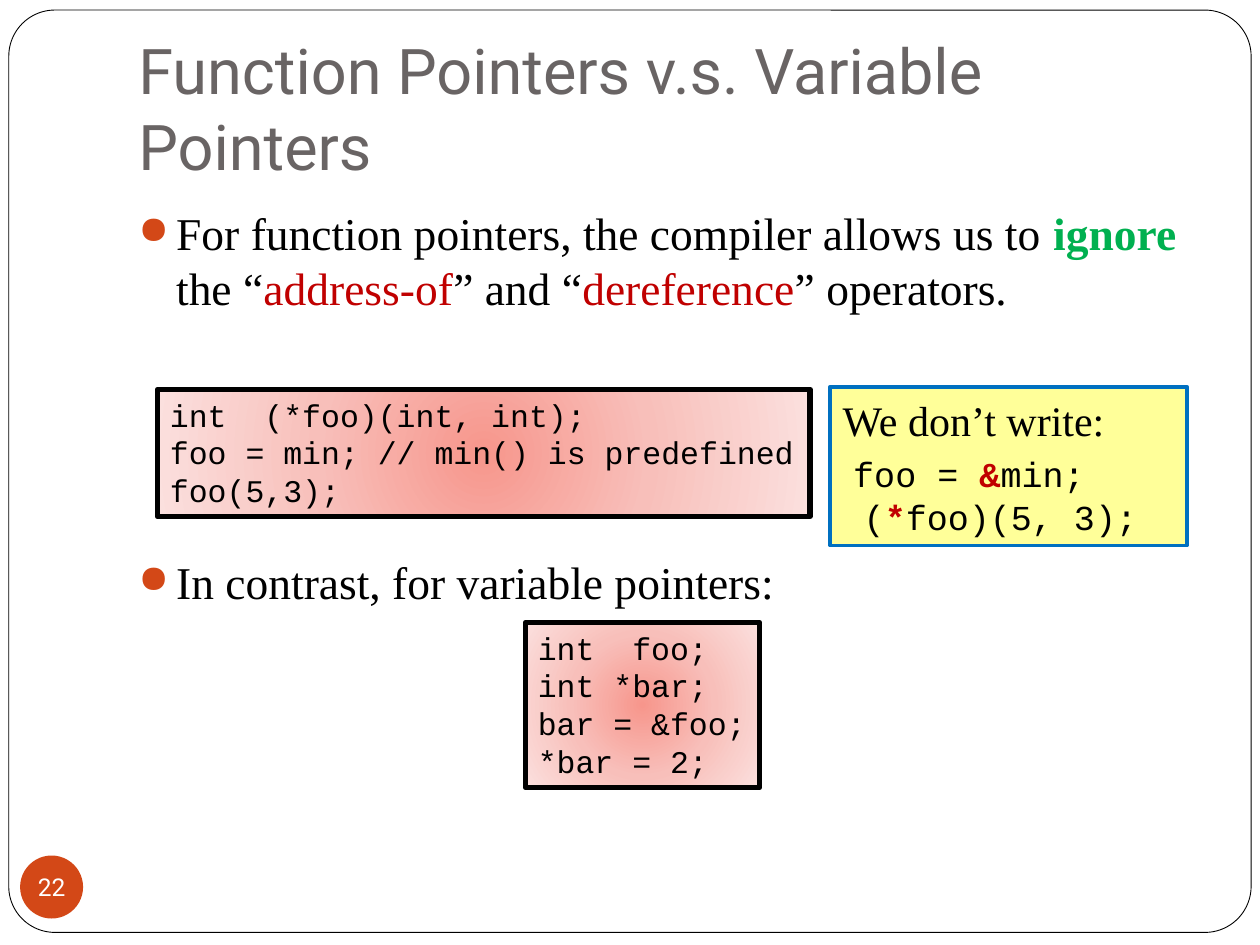
from dataclasses import dataclass

from lxml import etree
from pptx import Presentation
from pptx import util as u
from pptx.dml.color import RGBColor
from pptx.enum import shapes, text
from pptx.oxml import parse_xml
from pptx.oxml.ns import nsdecls, qn

Inches, Pt = u.Inches, u.Pt


@dataclass(frozen=True)
class Theme:
    sans: str = "Roboto"
    serif: str = "Times New Roman"
    mono: str = "Courier New"
    black: str = "000000"
    white: str = "FFFFFF"
    title: str = "696464"
    accent: str = "D34817"
    green: str = "00B050"
    red: str = "C00000"
    note_fill: str = "FFFF99"
    note_line: str = "0070C0"
    glow: tuple = ((0, "F7968C"), (50, "F8BFBA"), (100, "FBE0DE"))
    title_size: float = 36
    body_size: float = 26
    note_size: float = 24
    note_code_size: float = 20
    code_size: float = 18
    number_size: float = 14


THEME = Theme()


def add_span(para, words, *, size, font, color=THEME.black, bold=False):
    """Add formatted text; a newline becomes a line break."""
    for index, line in enumerate(words.split("\n")):
        if index:
            para.add_line_break()
        span = para.add_run()
        span.text = line
        span.font.size = Pt(size)
        span.font.name = font
        span.font.bold = bold
        span.font.color.rgb = RGBColor.from_string(color)


def set_frame(shape, *, anchor=text.MSO_ANCHOR.TOP, wrap=True,
              insets=(0.1, 0.05, 0.1, 0.05)):
    frame = shape.text_frame
    frame.word_wrap = wrap
    frame.vertical_anchor = anchor
    (frame.margin_left, frame.margin_top,
     frame.margin_right, frame.margin_bottom) = map(Inches, insets)
    frame.paragraphs[0].alignment = text.PP_ALIGN.LEFT
    return frame


def add_text_box(page, box, **layout):
    return set_frame(page.shapes.add_textbox(*map(Inches, box)), **layout)


def add_panel(page, kind, box, *, fill=None, line=None, width=1):
    panel = page.shapes.add_shape(kind, *map(Inches, box))
    panel.shadow.inherit = False
    if fill:
        panel.fill.solid()
        panel.fill.fore_color.rgb = RGBColor.from_string(fill)
    if line:
        panel.line.color.rgb = RGBColor.from_string(line)
        panel.line.width = Pt(width)
    else:
        panel.line.fill.background()
    return panel


def set_glow(panel):
    """Fill a panel with a gradient that spreads from its centre."""
    stops = "".join(
        f'<a:gs pos="{place * 1000}"><a:srgbClr val="{color}"/></a:gs>'
        for place, color in THEME.glow)
    panel._element.spPr.insert(2, parse_xml(
        f'<a:gradFill {nsdecls("a")} rotWithShape="1"><a:gsLst>{stops}</a:gsLst>'
        '<a:path path="circle"><a:fillToRect l="50000" t="50000" '
        'r="50000" b="50000"/></a:path></a:gradFill>'))


def set_bullet(para, indent):
    props = para._p.get_or_add_pPr()
    props.set("marL", str(Inches(indent)))
    props.set("indent", str(-Inches(indent)))
    color = etree.SubElement(props, qn("a:buClr"))
    etree.SubElement(color, qn("a:srgbClr"), val=THEME.accent)
    etree.SubElement(props, qn("a:buSzPct"), val="85000")
    etree.SubElement(props, qn("a:buChar"), char="●")


def add_border(page, box):
    border = add_panel(page, shapes.MSO_SHAPE.ROUNDED_RECTANGLE, box,
                       fill=THEME.white, line=THEME.black, width=0.5)
    border.adjustments[0] = 0.05


def add_title(page, box, words):
    frame = add_text_box(page, box, anchor=text.MSO_ANCHOR.BOTTOM,
                         insets=(0.1, 0.05, 0.1, 0.1))
    add_span(frame.paragraphs[0], words, size=THEME.title_size,
             font=THEME.sans, color=THEME.title)


def add_bullets(page, box, bullets):
    """Each bullet is its space before and its (text, format) spans."""
    frame = add_text_box(page, box)
    for index, (space, spans) in enumerate(bullets):
        para = frame.add_paragraph() if index else frame.paragraphs[0]
        para.space_before = Pt(space)
        set_bullet(para, 0.3)
        for words, style in spans:
            add_span(para, words, size=THEME.body_size, font=THEME.serif, **style)


def add_code(page, box, lines):
    panel = add_panel(page, shapes.MSO_SHAPE.RECTANGLE, box,
                      line=THEME.black, width=3)
    set_glow(panel)
    frame = set_frame(panel, wrap=False)
    frame.auto_size = text.MSO_AUTO_SIZE.SHAPE_TO_FIT_TEXT
    for index, line in enumerate(lines):
        para = frame.add_paragraph() if index else frame.paragraphs[0]
        para.alignment = text.PP_ALIGN.LEFT
        add_span(para, line, size=THEME.code_size, font=THEME.mono)


def add_note(page, box, heading, code):
    panel = add_panel(page, shapes.MSO_SHAPE.RECTANGLE, box,
                      fill=THEME.note_fill, line=THEME.note_line, width=2.25)
    para = set_frame(panel, anchor=text.MSO_ANCHOR.MIDDLE).paragraphs[0]
    add_span(para, heading, size=THEME.note_size, font=THEME.serif)
    for words, style in code:
        add_span(para, words, size=THEME.note_code_size, font=THEME.mono, **style)


def add_page_number(page, box, number):
    badge = add_panel(page, shapes.MSO_SHAPE.OVAL, box, fill=THEME.accent)
    frame = set_frame(badge, anchor=text.MSO_ANCHOR.MIDDLE, wrap=False,
                      insets=(0, 0, 0, 0))
    para = frame.paragraphs[0]
    para.alignment = text.PP_ALIGN.CENTER
    add_span(para, number, size=THEME.number_size, font=THEME.sans,
             color=THEME.white)


def main():
    deck = Presentation()
    deck.slide_width, deck.slide_height = Inches(10), Inches(7.5)
    page = deck.slides.add_slide(deck.slide_layouts[6])
    red = {"color": THEME.red}
    operator = {"color": THEME.red, "bold": True}

    # Border, title and main points
    add_border(page, (0.07, 0.08, 9.86, 7.32))
    add_title(page, (1, 0.3, 8.5, 1.25), "Function Pointers v.s. Variable Pointers")
    add_bullets(page, (1, 1.58, 8.5, 5), [
        (5.8, [("For function pointers, the compiler allows us to ", {}),
               ("ignore ", {"color": THEME.green, "bold": True}),
               ("the “", {}), ("address-of", red), ("” and “", {}),
               ("dereference", red), ("” operators.", {})]),
        (137, [("In contrast, for variable pointers:", {})]),
    ])

    # Code samples
    add_code(page, (1.25, 3.09, 5.18, 1.01), [
        "int  (*foo)(int, int);",
        "foo = min; // min() is predefined",
        "foo(5,3);"])
    add_code(page, (4.17, 4.94, 1.86, 1.31), [
        "int  foo;", "int *bar;", "bar = &foo;", "*bar = 2;"])

    # Page number and side note
    add_page_number(page, (0.16, 6.79, 0.5, 0.5), "22")
    add_note(page, (6.59, 3.07, 2.83, 1.26), "We don’t write:\n ", [
        ("foo = ", {}), ("&", operator), ("min;\n (", {}),
        ("*", operator), ("foo)(5, 3);", {})])

    deck.save("out.pptx")


if __name__ == "__main__":
    main()
